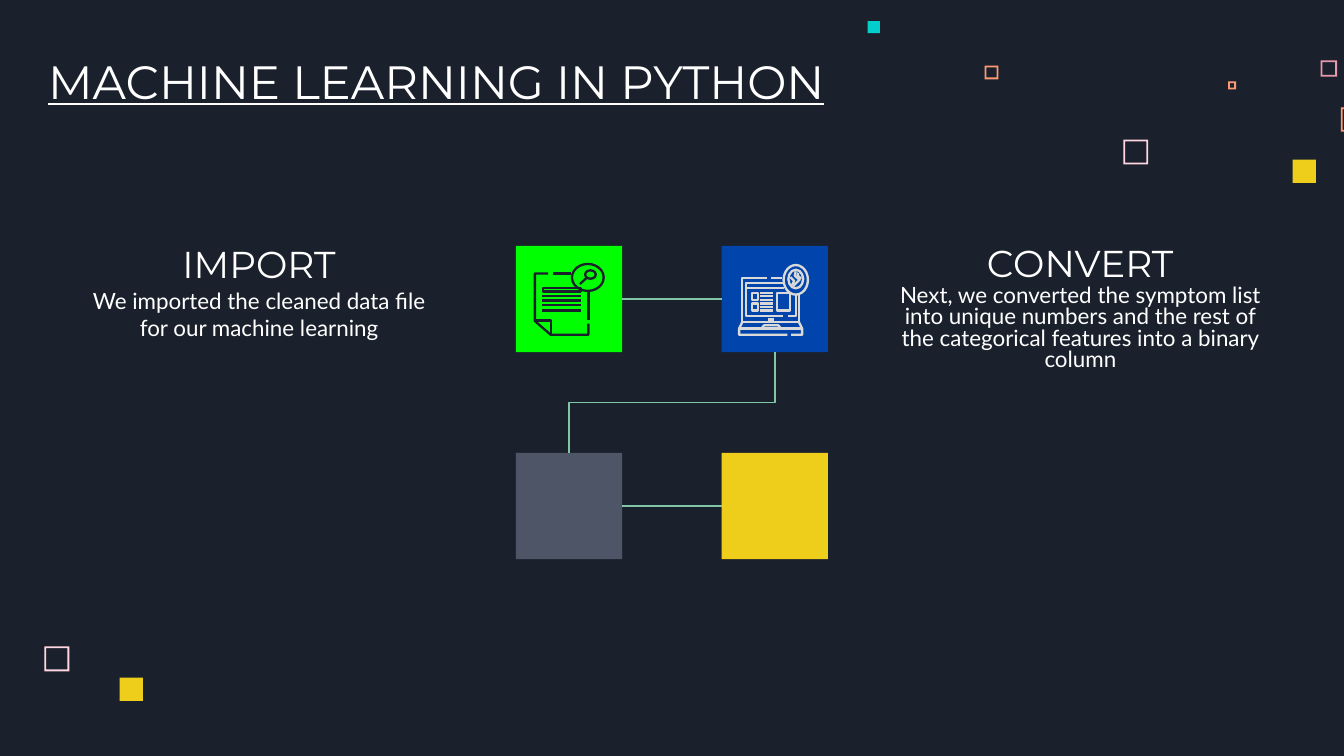
from lxml.etree import SubElement
from pptx import Presentation
from pptx.dml.color import RGBColor
from pptx.enum.shapes import MSO_CONNECTOR, MSO_SHAPE
from pptx.enum.text import MSO_ANCHOR, MSO_AUTO_SIZE, PP_ALIGN
from pptx.oxml.ns import qn
from pptx.util import Cm, Pt

WHITE, NAVY, SILVER, GOLD = "FFFFFF", "1B212C", "D9D9D9", "EECE1A"
PINK, ROSE, CORAL, MINT = "FFD6E1", "E898AC", "FF9973", "82C7A5"
TILE = 2.01
UNIT = Cm(0.01)


def hue(code):
    """Turn a hex string into a colour."""
    return RGBColor.from_string(code)


def write(shape, box, text, size=12, font="Lato", color=WHITE, line=False,
          align=PP_ALIGN.CENTER, anchor=MSO_ANCHOR.TOP, pitch=1.0):
    """Place a placeholder in its box and fill it with formatted text."""
    shape.left, shape.top, shape.width, shape.height = map(Cm, box)
    frame = shape.text_frame
    frame.text = text
    frame.word_wrap = True
    frame.auto_size = MSO_AUTO_SIZE.NONE
    frame.vertical_anchor = anchor
    frame.margin_left = frame.margin_right = Cm(0.25)
    frame.margin_top = frame.margin_bottom = Cm(0.25)
    para = frame.paragraphs[0]
    para.alignment, para.line_spacing = align, pitch
    para.space_before = para.space_after = Pt(0)
    props = para._p.get_or_add_pPr()
    props.set("marL", "0")
    props.set("indent", "0")
    SubElement(props, qn("a:buNone"))
    face = para.runs[0].font
    face.name, face.size, face.bold, face.underline = font, Pt(size), False, line
    face.color.rgb = hue(color)


def block(slide, kind, left, top, wide, high, color):
    """Add a flat filled shape."""
    shape = slide.shapes.add_shape(kind, Cm(left), Cm(top), Cm(wide), Cm(high))
    shape.shadow.inherit = False
    shape.fill.solid()
    shape.fill.fore_color.rgb = hue(color)
    shape.line.fill.background()
    return shape


def spark(slide, left, top, side, color, hollow):
    """Add one small square of the decoration."""
    kind = MSO_SHAPE.FRAME if hollow else MSO_SHAPE.RECTANGLE
    shape = block(slide, kind, left, top, side, side, color)
    if hollow:
        shape.adjustments[0] = 0.035 / side


def stroke(slide, left, top, color, points, close=False):
    """Draw an open or closed outline inside a tile."""
    pen = slide.shapes.build_freeform(*points[0], scale=UNIT)
    pen.add_line_segments(points[1:], close=close)
    shape = pen.convert_to_shape(Cm(left), Cm(top))
    shape.shadow.inherit = False
    shape.fill.background()
    shape.line.color.rgb, shape.line.width = hue(color), Pt(1.25)


def ring(slide, left, top, color, x, y, wide, high):
    """Draw an unfilled oval inside a tile."""
    shape = block(slide, MSO_SHAPE.OVAL, left + x / 100, top + y / 100,
                  wide / 100, high / 100, color)
    shape.fill.background()
    shape.line.color.rgb, shape.line.width = hue(color), Pt(1.25)


def icon(slide, left, top, color, open_, boxes, rings):
    """Draw a line icon from outlines, boxes and ovals."""
    for points in open_:
        stroke(slide, left, top, color, points)
    for x, y, x2, y2 in boxes:
        stroke(slide, left, top, color, [(x, y), (x2, y), (x2, y2), (x, y2)], True)
    for oval in rings:
        ring(slide, left, top, color, *oval)


def paper(slide, left, top):
    """Draw the document with a lens."""
    lines = [[(50, y), (123, y)] for y in (94, 103, 112, 122)]
    sheet = [[(61, 52), (36, 52), (36, 142), (66, 168), (137, 168), (137, 147)],
             [(36, 141), (66, 141), (66, 168)], [(137, 140), (137, 86)],
             [(71, 52), (104, 52)], [(133, 61), (121, 72)]]
    icon(slide, left, top, NAVY, sheet + lines, [(51, 79, 122, 86)],
         [(106, 34, 60, 51), (131, 46, 20, 16)])


def laptop(slide, left, top):
    """Draw the laptop with a globe."""
    lines = [[(72, y), (97, y)] for y in (89, 95, 102, 109, 115, 122)]
    body = [[(86, 61), (39, 61), (39, 144), (146, 144), (146, 91)],
            [(94, 61), (114, 61)], [(46, 79), (118, 79)],
            [(115, 70), (46, 70), (46, 133), (116, 133)],
            [(125, 133), (140, 133), (140, 93)],
            [(124, 168), (33, 168), (33, 156), (39, 144)],
            [(131, 168), (152, 168), (152, 156), (146, 144)],
            [(33, 156), (152, 156)], [(88, 139), (98, 139)],
            [(75, 156), (80, 150), (107, 150), (112, 156)]]
    globe = [[(140, 48), (138, 56), (147, 64), (135, 76)],
             [(130, 59), (137, 66), (133, 74)], [(145, 51), (143, 55), (150, 62)]]
    icon(slide, left, top, SILVER, body + globe + lines,
         [(57, 89, 68, 102), (57, 109, 68, 122), (104, 89, 129, 122)],
         [(117, 36, 46, 56), (126, 45, 28, 35)])


def link(slide, kind, *ends):
    """Add a thin connector between two points."""
    wire = slide.shapes.add_connector(kind, *map(Cm, ends))
    wire.line.color.rgb, wire.line.width = hue(MINT), Pt(0.75)
    SubElement(wire._element.spPr, qn("a:effectLst"))
    return wire


def flow(slide, left, top, step_x, step_y):
    """Build the two by two chain of tiles."""
    half = TILE / 2
    for i, color in enumerate(("00FF00", "0145AC", "4E5567", GOLD)):
        block(slide, MSO_SHAPE.RECTANGLE, left + i % 2 * step_x,
              top + i // 2 * step_y, TILE, TILE, color)
    for row in range(2):
        y = top + row * step_y + half
        link(slide, MSO_CONNECTOR.STRAIGHT, left + TILE, y, left + step_x, y)
    gap = step_y - TILE
    mid_x, mid_y = left + half + step_x / 2, top + TILE + gap / 2
    bend = link(slide, MSO_CONNECTOR.ELBOW, mid_x - gap / 2, mid_y - step_x / 2,
                mid_x + gap / 2, mid_y + step_x / 2)
    bend._element.spPr.xfrm.set("rot", "5400000")
    paper(slide, left, top)
    laptop(slide, left + step_x, top)


def stage(head, body, left, top, name, text, pitch=1.0):
    """Write one stage: its name over its text."""
    write(head, (left + 1.09, top, 5.23, 1.8), name, size=20,
          font="Montserrat", anchor=MSO_ANCHOR.BOTTOM)
    write(body, (left, top + 1.32, 7.42, 2.3), text, pitch=pitch)


def main():
    """Build and save the slide."""
    deck = Presentation()
    deck.slide_width, deck.slide_height = Cm(25.4), Cm(14.29)
    slide = deck.slides.add_slide(deck.slide_layouts[4])
    slide.background.fill.solid()
    slide.background.fill.fore_color.rgb = hue(NAVY)
    for square in ((21.23, 2.64, 0.47, PINK, True), (24.96, 1.14, 0.31, ROSE, True),
                   (23.21, 1.54, 0.15, CORAL, True), (25.34, 2.03, 0.46, CORAL, True),
                   (24.43, 3.02, 0.44, GOLD, False), (18.61, 1.24, 0.26, CORAL, True),
                   (16.4, 0.4, 0.23, "00CFCC", False), (0.84, 12.22, 0.47, PINK, True),
                   (2.26, 12.81, 0.44, GOLD, False)):
        spark(slide, *square)
    title, head, body, head2, body2 = slide.placeholders
    write(title, (0.66, 0.71, 16.36, 1.6), "MACHINE LEARNING IN PYTHON", size=25,
          font="Montserrat", line=True, align=PP_ALIGN.LEFT, anchor=MSO_ANCHOR.BOTTOM)
    stage(head, body, 1.19, 3.86, "IMPORT",
          "We imported the cleaned data file for our machine learning")
    stage(head2, body2, 16.71, 3.84, "CONVERT",
          "Next, we converted the symptom list into unique numbers and the rest of "
          "the categorical features into a binary column", pitch=0.8)
    flow(slide, 9.75, 4.65, 3.89, 3.91)
    deck.save("out.pptx")


main()
